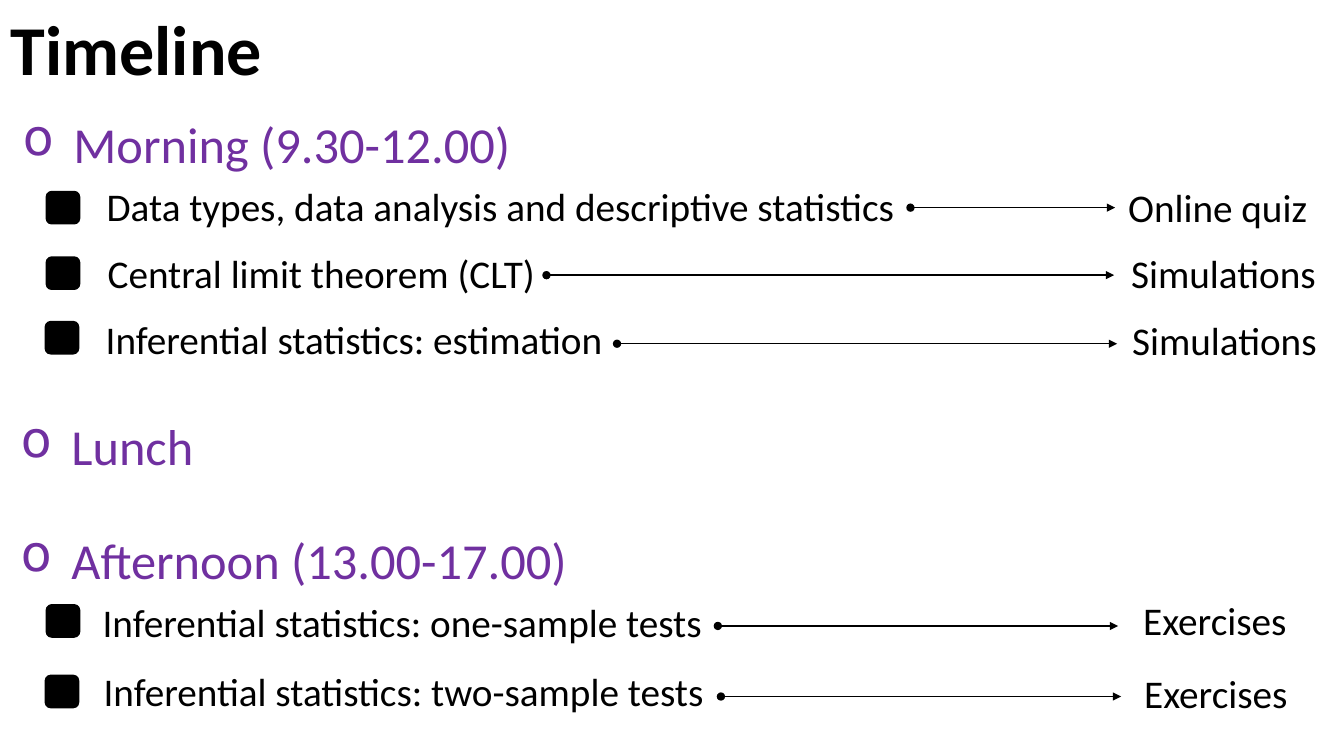
from pptx import Presentation
from pptx.dml.color import RGBColor
from pptx.enum.shapes import MSO_CONNECTOR as CONNECTOR, MSO_SHAPE as SHAPE
from pptx.enum.text import MSO_AUTO_SIZE as AUTO_SIZE
from pptx.oxml.ns import qn
from pptx.util import Pt
from lxml.etree import SubElement

PX = 9144  # EMU per px, 100 px to the inch
COLORS = {"ink": "000000", "session": "7030A0"}
INK = RGBColor.from_string(COLORS["ink"])

prs = Presentation()
prs.slide_width, prs.slide_height = 1333 * PX, 750 * PX
slide = prs.slides.add_slide(prs.slide_layouts[6])


def add_text(text, left, top, width, height, size=28, color="ink", bold=False, bullet=None):
    box = slide.shapes.add_textbox(left * PX, top * PX, width * PX, height * PX)
    frame = box.text_frame
    frame.word_wrap = True
    frame.auto_size = AUTO_SIZE.SHAPE_TO_FIT_TEXT
    paragraph = frame.paragraphs[0]
    if bullet:
        props = paragraph._p.get_or_add_pPr()
        props.set("marL", str(50 * PX))
        props.set("indent", str(-50 * PX))
        SubElement(props, qn("a:buChar"), char=bullet)
    run = paragraph.add_run()
    run.text = text
    run.font.name = "Calibri"
    run.font.size = Pt(size)
    run.font.bold = bold
    run.font.color.rgb = RGBColor.from_string(COLORS[color])


# Title
add_text("Timeline", 1, 1, 273, 94, size=50, bold=True)

# Sessions of the day
for session, left, top in [
    ("Morning (9.30-12.00)", 13, 107),
    ("Lunch", 11, 407),
    ("Afternoon (13.00-17.00)", 11, 520),
]:
    add_text(session, left, top, 1087, 71, size=36, color="session", bullet="o")

# Topics: marker (left, top), topic box, arrow (from, to, y), activity box
for marker, topic, topic_box, arrow, activity, activity_box in [
    ((46, 190), "Data types, data analysis and descriptive statistics", (96, 176, 980),
     (903, 1106, 206), "Online quiz", (1109, 177, 212)),
    ((46, 255), "Central limit theorem (CLT)", (97, 242, 913),
     (542, 1105, 273), "Simulations", (1112, 242, 208)),
    ((45, 319), "Inferential statistics: estimation", (95, 308, 627),
     (612, 1108, 341), "Simulations", (1113, 309, 207)),
    ((46, 600), "Inferential statistics: one-sample tests", (92, 589, 627),
     (712, 1109, 621), "Exercises", (1124, 587, 196)),
    ((45, 670), "Inferential statistics: two-sample tests", (93, 657, 627),
     (715, 1112, 691), "Exercises", (1125, 659, 196)),
]:
    square = slide.shapes.add_shape(
        SHAPE.ROUNDED_RECTANGLE, marker[0] * PX, marker[1] * PX, 33 * PX, 32 * PX)
    square.shadow.inherit = False
    square.fill.solid()
    square.fill.fore_color.rgb = INK
    square.line.color.rgb = INK
    square.line.width = Pt(1)

    add_text(topic, *topic_box, 57)
    add_text(activity, *activity_box, 57)

    start, end, y = arrow
    link = slide.shapes.add_connector(
        CONNECTOR.STRAIGHT, start * PX, y * PX, end * PX, y * PX)
    link.line.color.rgb = INK
    link.line.width = Pt(1)
    line_xml = link.line._get_or_add_ln()
    SubElement(line_xml, qn("a:headEnd"), type="oval")
    SubElement(line_xml, qn("a:tailEnd"), type="triangle")
    SubElement(link._element.spPr, qn("a:effectLst"))

prs.save("out.pptx")
